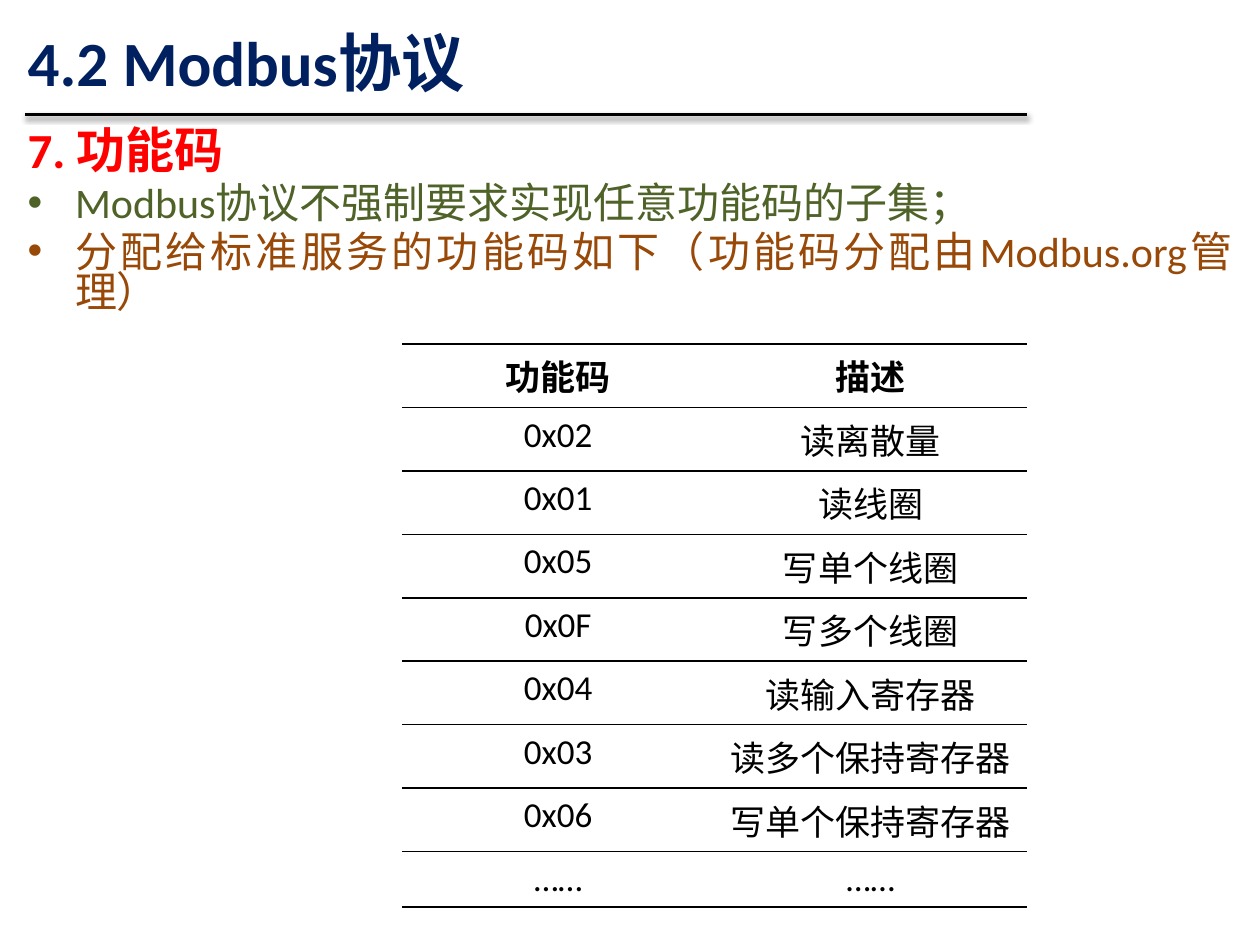
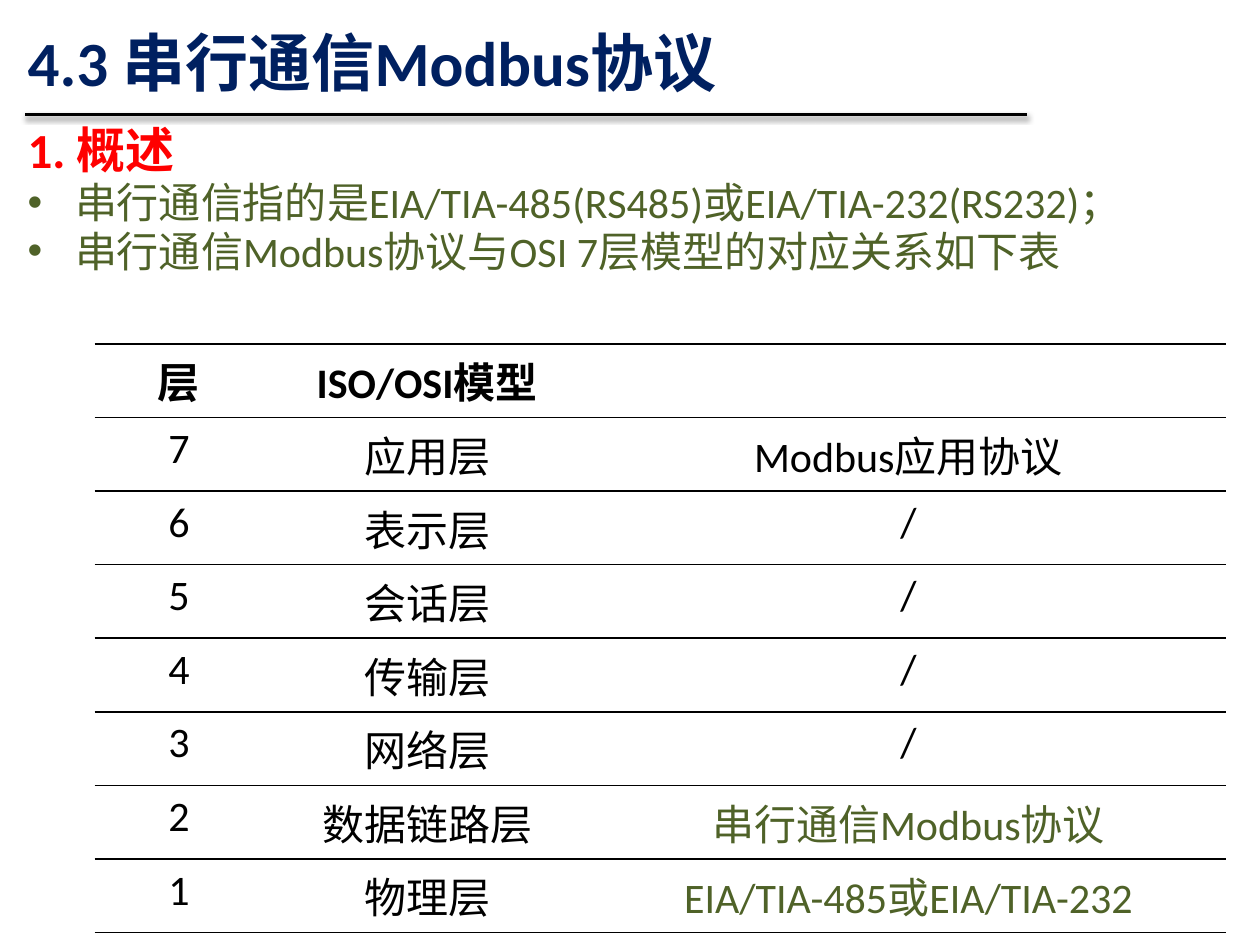
from lxml import etree
from pptx import Presentation
from pptx.dml.color import RGBColor
from pptx.enum.shapes import MSO_CONNECTOR
from pptx.enum.text import MSO_ANCHOR, MSO_AUTO_SIZE, PP_ALIGN
from pptx.oxml import parse_xml
from pptx.oxml.ns import nsdecls, qn
from pptx.util import Inches, Pt

FONT = "Calibri"
BLACK, NAVY, RED = "000000", "002060", "FF0000"
GREEN, BROWN = "4F6228", "984807"

# The slide is a grid of 100 columns by 75 rows.
COLUMNS, ROWS = 100, 75
UNIT = Inches(10) / COLUMNS
LEFT, RIGHT = 1.2, 81.5
TITLE_TOP, RULE_TOP, BODY_TOP, TABLE_TOP = 0.5, 9.1, 9.9, 27.3


def grid(count):
    return round(count * UNIT)


def color(hex_string):
    return RGBColor.from_string(hex_string)


def place(shape, left, top, width, height):
    shape.left, shape.top = grid(left), grid(top)
    shape.width, shape.height = grid(width), grid(height)


def add_run(paragraph, text, size, hex_color, bold=False):
    run = paragraph.add_run()
    run.text = text
    run.font.name, run.font.size, run.font.bold = FONT, Pt(size), bold
    run.font.color.rgb = color(hex_color)


def prepare_layout(layout, slide):
    """Place the shared placeholders and move the title rule into the layout."""
    title, body = layout.placeholders[0], layout.placeholders[1]
    place(title, LEFT, TITLE_TOP, RIGHT - LEFT, 8.7)
    place(body, LEFT, BODY_TOP, COLUMNS - 2 * LEFT, 57.5)
    rule = slide.shapes.add_connector(
        MSO_CONNECTOR.STRAIGHT, grid(2), grid(RULE_TOP), grid(RIGHT), grid(RULE_TOP))
    rule.line.color.rgb = color(BLACK)
    rule.line.width = Pt(2)
    rule.element.spPr.append(parse_xml(
        f'<a:effectLst {nsdecls("a")}>'
        f'<a:outerShdw blurRad="{Pt(3.1)}" dist="{Pt(1.6)}" dir="5400000" rotWithShape="0">'
        f'<a:srgbClr val="{BLACK}"><a:alpha val="38000"/></a:srgbClr>'
        '</a:outerShdw></a:effectLst>'))
    layout.shapes.element.append(rule.element)


def fill_title(slide, text):
    frame = slide.shapes.title.text_frame
    frame.auto_size = MSO_AUTO_SIZE.NONE
    frame.vertical_anchor = MSO_ANCHOR.MIDDLE
    paragraph = frame.paragraphs[0]
    paragraph.alignment = PP_ALIGN.LEFT
    add_run(paragraph, text, 36, NAVY, bold=True)


def fill_body(slide, heading, bullets):
    frame = slide.placeholders[1].text_frame
    frame.auto_size = MSO_AUTO_SIZE.NONE
    first = frame.paragraphs[0]
    properties = first._p.get_or_add_pPr()
    properties.set("marL", "0")
    properties.set("indent", "0")
    etree.SubElement(properties, qn("a:buNone"))
    first.space_before = Pt(0)
    add_run(first, heading, 28, RED, bold=True)
    for text, hex_color in bullets:
        add_run(frame.add_paragraph(), text, 24, hex_color)
    for paragraph in frame.paragraphs:
        paragraph.alignment = PP_ALIGN.JUSTIFY
        paragraph.line_spacing = 0.8


def rule_cell(cell):
    """Draw thin lines above and below the cell and none at its sides."""
    properties = cell._tc.get_or_add_tcPr()
    line = f'<a:solidFill><a:srgbClr val="{BLACK}"/></a:solidFill>'
    for side, paint in (("L", "<a:noFill/>"), ("R", "<a:noFill/>"), ("T", line), ("B", line)):
        properties.append(parse_xml(
            f'<a:ln{side} {nsdecls("a")} w="{Pt(1)}">{paint}</a:ln{side}>'))


def add_ruled_table(slide, left, widths, row_height, size, rows, accents=()):
    """Add a centred table with a bold first row; accents are texts shown in green."""
    table = slide.shapes.add_table(
        len(rows), len(widths), grid(left), grid(TABLE_TOP),
        grid(sum(widths)), grid(row_height * len(rows))).table
    table.first_row = table.horz_banding = False
    for column, width in zip(table.columns, widths):
        column.width = grid(width)
    for row_index, texts in enumerate(rows):
        for column_index, text in enumerate(texts):
            cell = table.cell(row_index, column_index)
            rule_cell(cell)
            cell.fill.background()
            paragraph = cell.text_frame.paragraphs[0]
            paragraph.alignment = PP_ALIGN.CENTER
            if text:
                add_run(paragraph, text, size, GREEN if text in accents else BLACK,
                        bold=row_index == 0)


def add_function_codes(slide):
    fill_title(slide, "4.2 Modbus协议")
    fill_body(slide, "7. 功能码", [
        ("Modbus协议不强制要求实现任意功能码的子集；", GREEN),
        ("分配给标准服务的功能码如下（功能码分配由Modbus.org管理）", BROWN),
    ])
    add_ruled_table(slide, 31.9, [24.8, 24.8], 4.1, 20, [
        ("功能码", "描述"),
        ("0x02", "读离散量"),
        ("0x01", "读线圈"),
        ("0x05", "写单个线圈"),
        ("0x0F", "写多个线圈"),
        ("0x04", "读输入寄存器"),
        ("0x03", "读多个保持寄存器"),
        ("0x06", "写单个保持寄存器"),
        ("……", "……"),
    ])


def add_layer_model(slide):
    serial_protocol, serial_lines = "串行通信Modbus协议", "EIA/TIA-485或EIA/TIA-232"
    fill_title(slide, f"4.3 {serial_protocol}")
    fill_body(slide, "1. 概述", [
        ("串行通信指的是EIA/TIA-485(RS485)或EIA/TIA-232(RS232)；", GREEN),
        ("串行通信Modbus协议与OSI 7层模型的对应关系如下表", GREEN),
    ])
    add_ruled_table(slide, 7.5, [13.4, 26, 50.4], 4.8, 24, [
        ("层", "ISO/OSI模型", ""),
        ("7", "应用层", "Modbus应用协议"),
        ("6", "表示层", "/"),
        ("5", "会话层", "/"),
        ("4", "传输层", "/"),
        ("3", "网络层", "/"),
        ("2", "数据链路层", serial_protocol),
        ("1", "物理层", serial_lines),
    ], accents=(serial_protocol, serial_lines))


def main():
    presentation = Presentation()
    presentation.slide_width, presentation.slide_height = grid(COLUMNS), grid(ROWS)
    layout = presentation.slide_layouts[1]
    slides = [presentation.slides.add_slide(layout) for _ in range(2)]
    prepare_layout(layout, slides[0])
    add_function_codes(slides[0])
    add_layer_model(slides[1])
    presentation.save("out.pptx")


if __name__ == "__main__":
    main()
